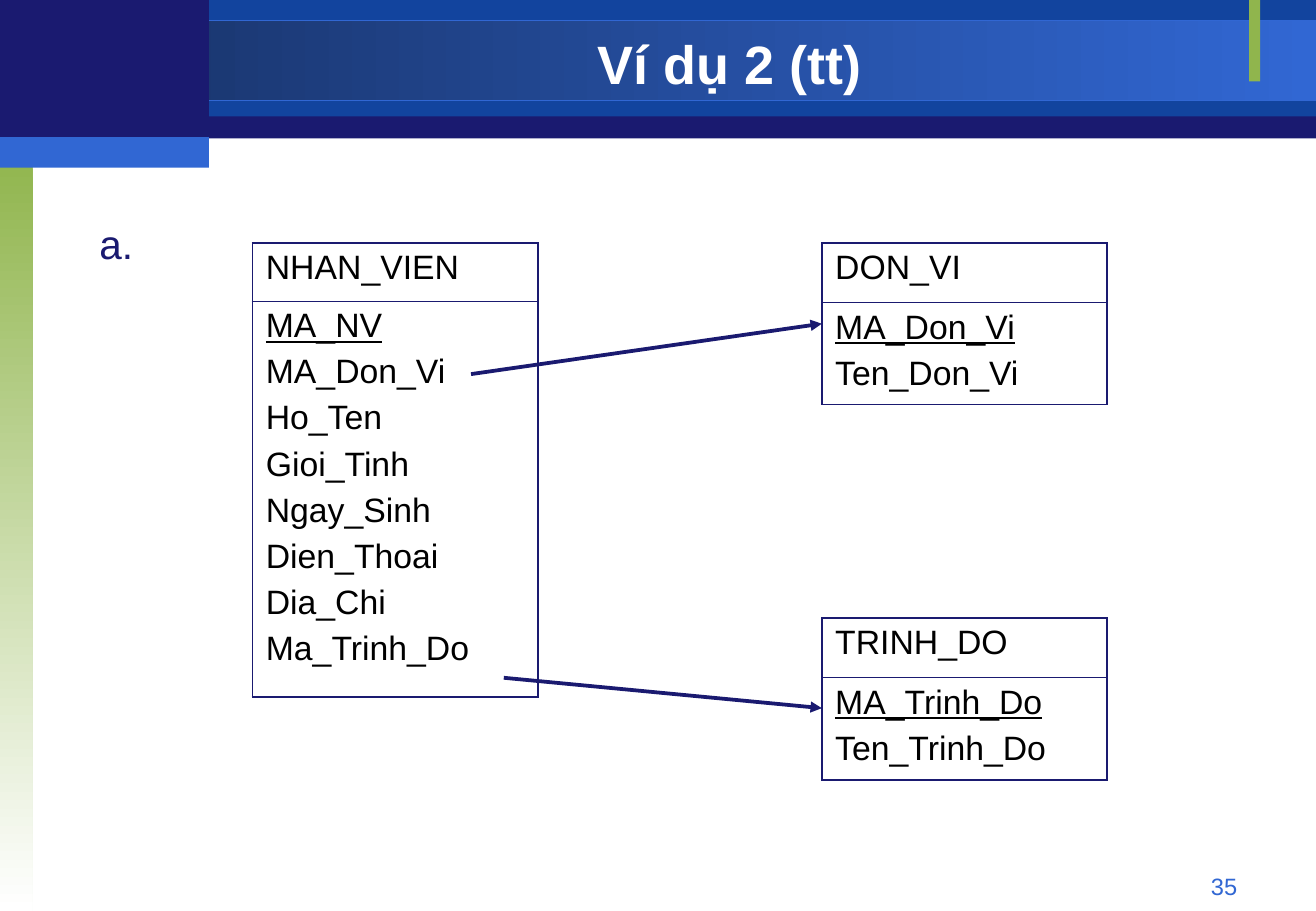
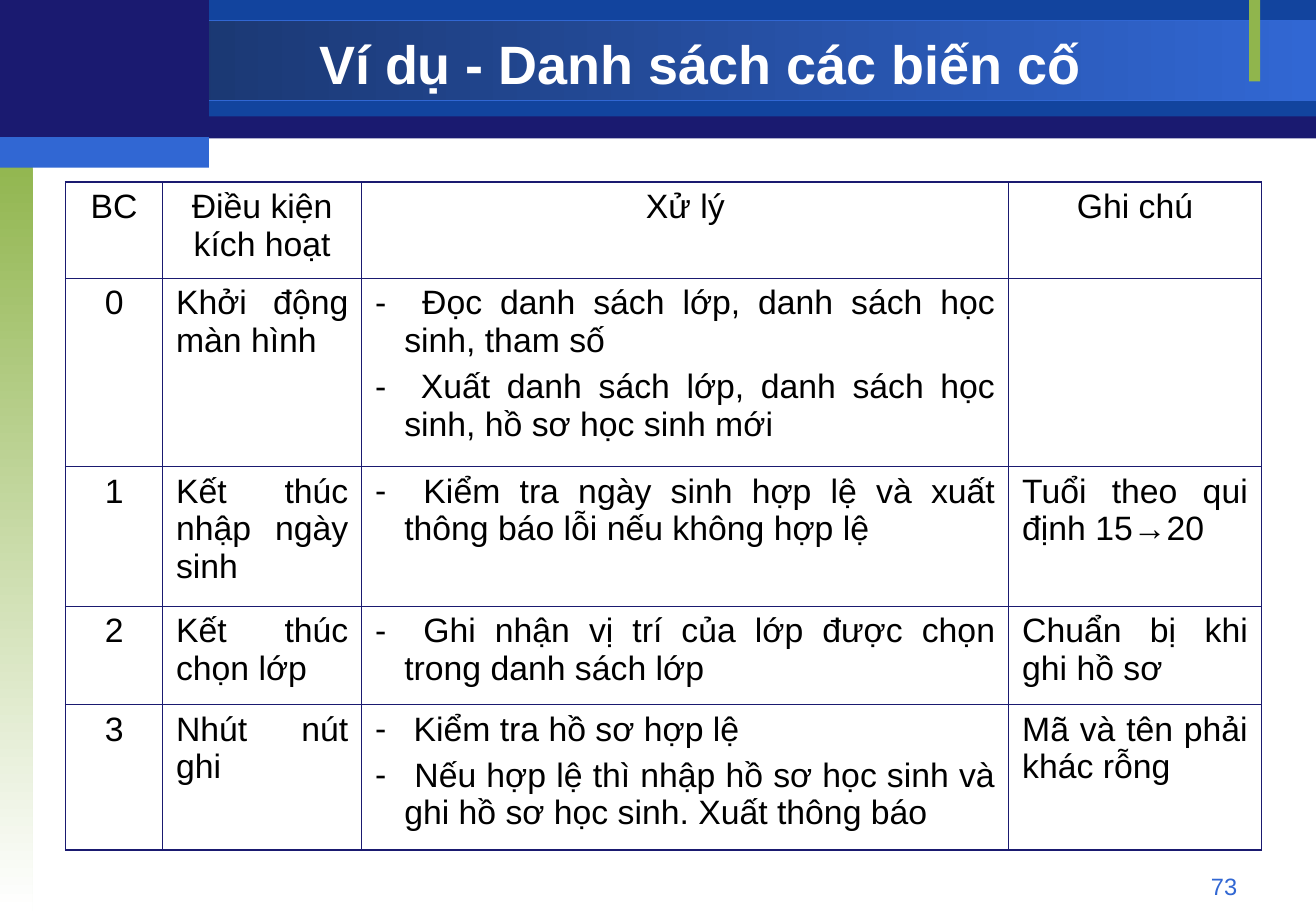
"""Builds two lecture slides: a relational diagram and a table of screen events."""
from lxml import etree
from pptx import Presentation
from pptx import util as u
from pptx.dml.color import RGBColor
from pptx.enum import shapes, text
from pptx.oxml.ns import qn

NAVY = RGBColor(0x1A, 0x1A, 0x70)
ROYAL = RGBColor(0x12, 0x44, 0x9E)
DEEP = RGBColor(0x17, 0x30, 0x62)
BLUE = RGBColor(0x31, 0x67, 0xD3)
GREEN = RGBColor(0x90, 0xB5, 0x4D)
WHITE = RGBColor(0xFF, 0xFF, 0xFF)
BLACK = RGBColor(0, 0, 0)

FONT = "Arial"
COLUMNS, ROWS = 108.4, 75
CORNER = 17.2
OUTER, INNER = u.Pt(1.08), u.Pt(0.45)
LEFT, CENTER, RIGHT, JUSTIFY = (
    text.PP_ALIGN.LEFT, text.PP_ALIGN.CENTER, text.PP_ALIGN.RIGHT, text.PP_ALIGN.JUSTIFY)


def cells(count):
    return u.Inches(count / 10)


class Deck:
    def __init__(self):
        self.presentation = Presentation()
        self.presentation.slide_width = cells(COLUMNS)
        self.presentation.slide_height = cells(ROWS)
        self.layout = self.presentation.slide_layouts[5]
        self.slide = None

    def start(self, title, number, left, width):
        first = self.slide is None
        self.slide = self.presentation.slides.add_slide(self.layout)
        if first:
            self.decorate()
        holder = self.slide.shapes.title
        holder.left, holder.top, holder.width, holder.height = map(cells, (left, 2.3, width, 5.8))
        holder.text_frame.auto_size = text.MSO_AUTO_SIZE.NONE
        holder.text_frame.vertical_anchor = text.MSO_ANCHOR.MIDDLE
        self.add_lines(holder.text_frame, [title], 32, WHITE, CENTER, bold=True)
        self.label(number, 77.6, 71.3, 25.3, 2.7, 14, BLUE, RIGHT)

    def decorate(self):
        bands = [
            self.band(0, 0.1, COLUMNS, 11.3, NAVY),
            self.band(CORNER, 0, COLUMNS - CORNER, 9.6, ROYAL),
            self.band(0, 1.7, COLUMNS, 6.6, DEEP, BLUE, outline=BLUE),
            self.band(0, 12.5, 2.7, ROWS - 12.5, GREEN, WHITE, angle=270),
            self.band(102.9, 0, 0.9, 6.7, GREEN),
            self.band(0, 0, CORNER, 11.7, NAVY),
            self.band(0, 11.3, CORNER, 2.5, BLUE),
        ]
        tree = self.layout.shapes.element
        for index, band in enumerate(bands):
            band.element.nvSpPr.cNvPr.set("id", str(100 + index))
            tree.insert(2 + index, band.element)

    def band(self, left, top, width, height, color, fade=None, angle=0, outline=None):
        shape = self.slide.shapes.add_shape(
            shapes.MSO_SHAPE.RECTANGLE, *map(cells, (left, top, width, height)))
        shape.shadow.inherit = False
        if fade is None:
            shape.fill.solid()
            shape.fill.fore_color.rgb = color
        else:
            shape.fill.gradient()
            shape.fill.gradient_angle = angle
            for stop, tone, position in zip(shape.fill.gradient_stops, (color, fade), (0, 1)):
                stop.color.rgb = tone
                stop.position = position
        if outline is None:
            shape.line.fill.background()
        else:
            shape.line.color.rgb = outline
            shape.line.width = u.Pt(0.75)
        return shape

    def add_lines(self, frame, lines, size, color, align=LEFT, bold=False, bullet=False):
        for index, line in enumerate(lines):
            paragraph = frame.add_paragraph() if index else frame.paragraphs[0]
            if bullet:
                self.bullet(paragraph, color)
            paragraph.alignment = align
            if index:
                paragraph.space_before = u.Pt(5)
            run = paragraph.add_run()
            run.text = line
            run.font.name = FONT
            run.font.size = u.Pt(size)
            run.font.bold = bold
            run.font.color.rgb = color

    def bullet(self, paragraph, color):
        indent = cells(2.4)
        properties = paragraph._p.get_or_add_pPr()
        properties.set("marL", str(indent))
        properties.set("indent", str(-indent))
        tone = etree.SubElement(properties, qn("a:buClr"))
        etree.SubElement(tone, qn("a:srgbClr"), val=str(color))
        etree.SubElement(properties, qn("a:buFont"), typeface=FONT)
        etree.SubElement(properties, qn("a:buChar"), char="-")

    def label(self, words, left, top, width, height, size, color, align=LEFT):
        box = self.slide.shapes.add_textbox(*map(cells, (left, top, width, height)))
        box.text_frame.word_wrap = True
        self.add_lines(box.text_frame, [words], size, color, align)

    def table(self, left, top, widths, heights, content, aligns, bullet_column=None):
        frame = self.slide.shapes.add_table(
            len(heights), len(widths), *map(cells, (left, top, sum(widths), sum(heights))))
        table = frame.table
        table.first_row = table.horz_banding = False
        for column, width in zip(table.columns, widths):
            column.width = cells(width)
        for row, height in zip(table.rows, heights):
            row.height = cells(height)
        for r, line in enumerate(content):
            for c, lines in enumerate(line):
                cell = table.cell(r, c)
                cell.margin_left = cell.margin_right = cells(1.1)
                cell.margin_top = cell.margin_bottom = cells(0.5)
                self.border(cell, lnL=c == 0, lnR=c == len(widths) - 1,
                            lnT=r == 0, lnB=r == len(heights) - 1)
                cell.fill.background()
                self.add_lines(cell.text_frame, lines, 20, BLACK, aligns[c] if r else aligns[0],
                               bullet=r > 0 and c == bullet_column)
        return frame

    def border(self, cell, **sides):
        properties = cell._tc.get_or_add_tcPr()
        for side, outside in sides.items():
            line = etree.SubElement(properties, qn(f"a:{side}"), w=str(OUTER if outside else INNER))
            fill = etree.SubElement(line, qn("a:solidFill"))
            etree.SubElement(fill, qn("a:srgbClr"), val=str(NAVY))

    def entity(self, left, top, heights, name, fields):
        frame = self.table(left, top, [23.5], heights, [[[name]], [fields]], [LEFT])
        key = frame.table.cell(1, 0).text_frame.paragraphs[0].runs[0]
        key.font.underline = True
        return frame

    def arrow(self, start, end, target=None):
        connector = self.slide.shapes.add_connector(
            shapes.MSO_CONNECTOR.STRAIGHT, *map(cells, start + end))
        if target is not None:
            connector.end_connect(target, 1)
        connector.line.color.rgb = NAVY
        connector.line.width = u.Pt(2.25)
        properties = connector.element.spPr
        etree.SubElement(properties.find(qn("a:ln")), qn("a:tailEnd"), type="triangle")
        etree.SubElement(properties, qn("a:effectLst"))


def relations(deck):
    deck.start("Ví dụ 2 (tt)", "35", CORNER, 85.8)
    deck.entity(20.8, 20, [4.8, 32.6], "NHAN_VIEN", [
        "MA_NV", "MA_Don_Vi", "Ho_Ten", "Gioi_Tinh",
        "Ngay_Sinh", "Dien_Thoai", "Dia_Chi", "Ma_Trinh_Do"])
    lookup = [4.9, 8.4]
    unit = deck.entity(67.7, 20, lookup, "DON_VI", ["MA_Don_Vi", "Ten_Don_Vi"])
    deck.entity(67.7, 50.9, lookup, "TRINH_DO", ["MA_Trinh_Do", "Ten_Trinh_Do"])
    deck.arrow((38.8, 30.8), (67.7, 26.7), unit)
    deck.arrow((41.5, 55.8), (67.7, 58.3))
    deck.label("a.", 7.2, 17.5, 6.3, 5, 24, NAVY)


def events(deck):
    deck.start("Ví dụ - Danh sách các biến cố", "73", 17.1, 81.2)
    content = [
        [["BC"], ["Điều kiện kích hoạt"], ["Xử lý"], ["Ghi chú"]],
        [["0"], ["Khởi động màn hình"],
         [" Đọc danh sách lớp, danh sách học sinh, tham số",
          " Xuất danh sách lớp, danh sách học sinh, hồ sơ học sinh mới"], []],
        [["1"], ["Kết thúc nhập ngày sinh"],
         [" Kiểm tra ngày sinh hợp lệ và xuất thông báo lỗi nếu không hợp lệ"],
         ["Tuổi theo qui định 15→20"]],
        [["2"], ["Kết thúc chọn lớp"],
         [" Ghi nhận vị trí của lớp được chọn trong danh sách lớp"],
         ["Chuẩn bị khi ghi hồ sơ"]],
        [["3"], ["Nhút nút ghi"],
         [" Kiểm tra hồ sơ hợp lệ",
          " Nếu hợp lệ thì nhập hồ sơ học sinh và ghi hồ sơ học sinh. Xuất thông báo"],
         ["Mã và tên phải khác rỗng"]],
    ]
    deck.table(5.4, 15, [8, 16.4, 53.3, 20.8], [7.9, 15.5, 11.5, 8.1, 12], content,
               [CENTER, JUSTIFY, JUSTIFY, JUSTIFY], bullet_column=2)


def main():
    deck = Deck()
    relations(deck)
    events(deck)
    deck.presentation.save("out.pptx")


if __name__ == "__main__":
    main()
